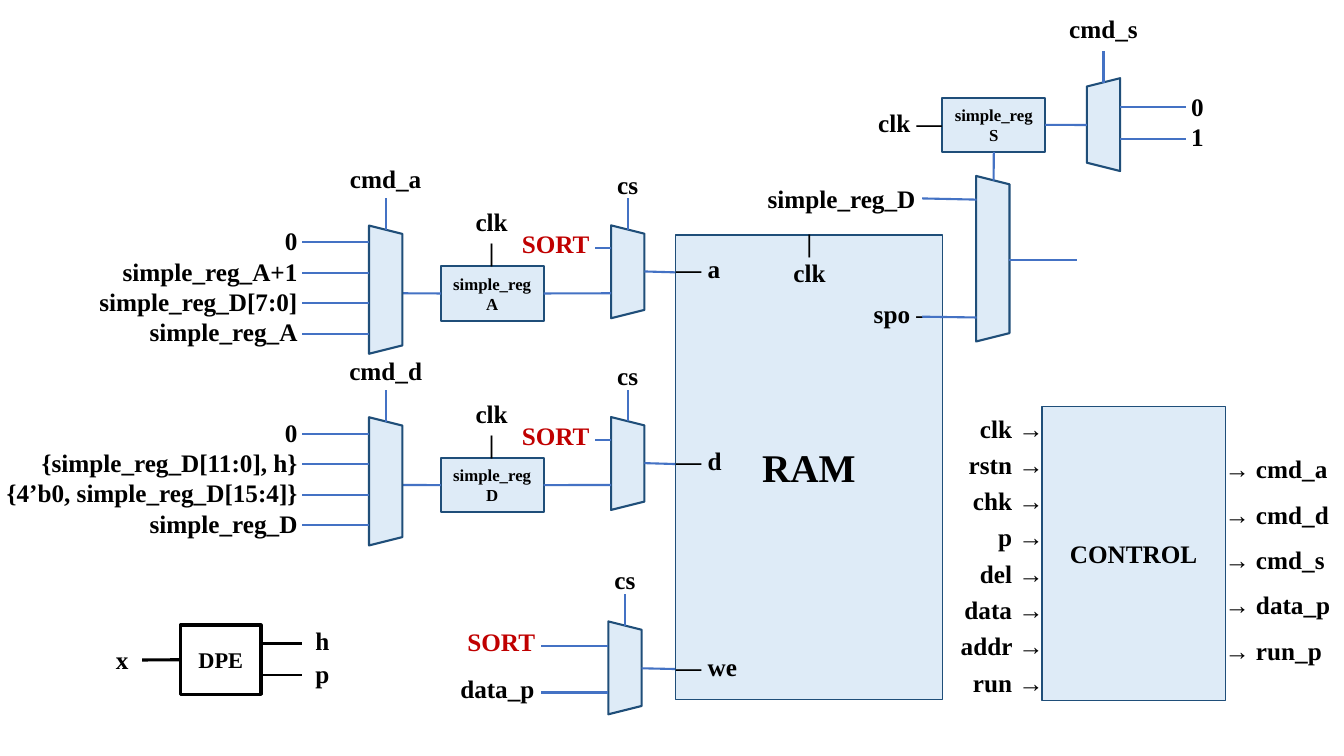
"""Build a block diagram of a RAM with its multiplexers, registers and control unit."""
from lxml import etree
from pptx import Presentation
from pptx import util as u
from pptx.dml.color import RGBColor
from pptx.enum import shapes, text
from pptx.oxml.ns import qn

FONT = "Times New Roman"
BLACK, RED = "000000", "C00000"
PALE, NAVY, BLUE = "DEEBF7", "1F4E79", "4472C4"
LEFT, CENTER, RIGHT = text.PP_ALIGN.LEFT, text.PP_ALIGN.CENTER, text.PP_ALIGN.RIGHT
HALF_MUX = 0.42
LINE_HEIGHT = 0.77


def paint(color_format, color):
    """Give a colour format a hex colour."""
    color_format.rgb = RGBColor.from_string(color)


def write(frame, lines, size, color=BLACK, align=LEFT, spacing=None):
    """Write one bold paragraph per line of text."""
    for index, line in enumerate(lines):
        para = frame.paragraphs[0] if index == 0 else frame.add_paragraph()
        para.add_run().text = line
        para.alignment = align
        if spacing:
            para.line_spacing = spacing
        para.font.name = FONT
        para.font.size = u.Pt(size)
        para.font.bold = True
        paint(para.font.color, color)


def clear_margins(frame):
    """Remove all insets of a text frame."""
    frame.margin_left = frame.margin_right = frame.margin_top = frame.margin_bottom = 0


def label(page, lines, left, top, width, color=BLACK, align=LEFT, spacing=None):
    """Add a label sized to its lines."""
    height = 0.25 + LINE_HEIGHT * len(lines) * (spacing or 1)
    box = page.shapes.add_textbox(u.Cm(left), u.Cm(top), u.Cm(width), u.Cm(height))
    box.text_frame.word_wrap = False
    box.text_frame.auto_size = text.MSO_AUTO_SIZE.SHAPE_TO_FIT_TEXT
    write(box.text_frame, lines, 18, color, align, spacing)
    return box


def wire(page, x1, y1, x2, y2, color=BLUE, weight=1.5):
    """Add a straight line without shadow."""
    line = page.shapes.add_connector(
        shapes.MSO_CONNECTOR.STRAIGHT, u.Cm(x1), u.Cm(y1), u.Cm(x2), u.Cm(y2))
    paint(line.line.color, color)
    line.line.width = u.Pt(weight)
    etree.SubElement(line._element.spPr, qn("a:effectLst"))
    return line


def outline(page, kind, left, top, width, height, fill, edge, weight):
    """Add a preset shape with fill and outline."""
    shape = page.shapes.add_shape(kind, u.Cm(left), u.Cm(top), u.Cm(width), u.Cm(height))
    shape.shadow.inherit = False
    if fill:
        shape.fill.solid()
        paint(shape.fill.fore_color, fill)
    else:
        shape.fill.background()
    paint(shape.line.color, edge)
    shape.line.width = u.Pt(weight)
    return shape


def block(page, lines, left, top, width, height, size, fill=PALE, edge=NAVY, weight=1.0):
    """Add a rectangle with centred text."""
    shape = outline(page, shapes.MSO_SHAPE.RECTANGLE, left, top, width, height, fill, edge, weight)
    shape.text_frame.vertical_anchor = text.MSO_ANCHOR.MIDDLE
    write(shape.text_frame, lines, size, align=CENTER)
    return shape


def register(page, letter, left, top):
    """Add a small register block."""
    return block(page, ["simple_reg", letter], left, top, 2.59, 1.37, 12, weight=1.5)


def mux(page, x, y, length, turn=90):
    """Add a multiplexer centred at x, y."""
    width = 2 * HALF_MUX
    shape = outline(page, shapes.MSO_SHAPE.TRAPEZOID, x - length / 2, y - HALF_MUX,
                    length, width, PALE, NAVY, 1.5)
    shape.rotation = turn


def select(page, name, x, y, length, label_width, rise):
    """Add the select line and its name above a multiplexer."""
    bottom = y - length / 2 + 0.11
    wire(page, x, bottom, x, bottom - 0.8)
    label(page, [name], x - label_width / 2, bottom - 0.8 - rise, label_width, align=CENTER)


def lane(page, letter, command, inputs, input_width, down):
    """Add an address or data lane, shifted down by a distance."""
    mux(page, 15.82, 6.85 + down, 2.34)
    select(page, "cs", 15.82, 6.85 + down, 2.34, 1.04, 0.86)
    wire(page, 16.24, 6.84 + down, 17.6, 6.88 + down)
    wire(page, 15.4, 6.25 + down, 14.99, 6.25 + down)
    label(page, ["SORT"], 12.9, 5.64 + down, 2.24, RED)

    reg = register(page, letter, 11.11, 6.71 + down)
    wire(page, 13.7, 7.39 + down, 15.4, 7.39 + down).begin_connect(reg, 3)
    wire(page, 10.14, 7.39 + down, 11.11, 7.39 + down).end_connect(reg, 1)
    label(page, ["clk", "|"], 11.73, 5.08 + down, 1.32, align=CENTER)

    mux(page, 9.72, 7.3 + down, 3.23)
    select(page, command, 9.72, 7.3 + down, 3.23, 2.34, 1)
    for index in range(len(inputs)):
        y = 6.1 + LINE_HEIGHT * index + down
        wire(page, 9.3, y, 7.62, y)
    label(page, inputs, 7.75 - input_width, 5.56 + down, input_width, align=RIGHT)


def write_enable(page):
    """Add the write enable multiplexer."""
    mux(page, 15.75, 16.83, 2.34)
    select(page, "cs", 15.75, 16.83, 2.34, 1.04, 0.88)
    wire(page, 16.17, 16.84, 17.55, 16.87)
    for y, name, left, width, color in ((16.28, "SORT", 11.53, 2.24, RED),
                                        (17.45, "data_p", 11.35, 2.41, BLACK)):
        wire(page, 15.33, y, 13.64, y)
        label(page, [name], left, y - 0.61, width, color)


def memory(page):
    """Add the RAM with its port names."""
    block(page, ["RAM"], 17.02, 5.92, 6.73, 11.71, 28)
    for port, top, width in (("a", 6.27, 1.63), ("d", 11.1, 1.68), ("we", 16.28, 2.06)):
        label(page, [f"— {port}"], 16.79, top, width)
    label(page, ["spo —"], 21.77, 7.39, 2.24)
    label(page, ["|", "clk"], 19.74, 5.61, 1.32, align=CENTER)


def edge_unit(page):
    """Add the DPE block with its input and outputs."""
    unit = block(page, ["DPE"], 4.55, 15.75, 2.03, 1.75, 16, None, BLACK, 2.25)
    unit.text_frame.word_wrap = False
    clear_margins(unit.text_frame)
    wire(page, 3.58, 16.63, 4.55, 16.63, BLACK, 2.25).end_connect(unit, 1)
    for y, weight in ((16.21, 2.25), (17.02, 1.5)):
        wire(page, 6.63, y, 7.62, y, BLACK, weight)
    for name, left, top in (("x", 2.92, 16.23), ("h", 7.95, 15.77), ("p", 7.95, 16.59)):
        box = label(page, [name], left, top, 0.35)
        box.height = u.Cm(0.76)
        box.text_frame.vertical_anchor = text.MSO_ANCHOR.MIDDLE
        clear_margins(box.text_frame)


def output_stage(page):
    """Add the output multiplexer, its register and the cmd_s multiplexer."""
    mux(page, 25.02, 6.52, 4.17)
    wire(page, 23.24, 7.98, 24.61, 8)
    wire(page, 23.24, 5, 24.61, 5.03)
    wire(page, 27.13, 6.55, 25.44, 6.55)
    label(page, ["simple_reg_D"], 19.08, 4.5, 4.24, align=RIGHT).text_frame.word_wrap = True

    mux(page, 27.81, 3.14, 2.34, 270)
    select(page, "cmd_s", 27.81, 3.14, 2.34, 2.26, 1.07)
    for y in (2.69, 3.51):
        wire(page, 28.23, y, 29.9, y)
    label(page, ["0", "1"], 29.77, 2.18, 0.84)

    reg = register(page, "S", 23.75, 2.46)
    wire(page, 25.04, 3.83, 25.04, 4.55).begin_connect(reg, 2)
    wire(page, 26.34, 3.15, 27.39, 3.15).begin_connect(reg, 3)
    label(page, ["clk —"], 21.87, 2.59, 2.13, align=CENTER)


def control(page):
    """Add the control unit with its signals."""
    block(page, ["CONTROL"], 26.26, 10.24, 4.62, 7.42, 18)
    inputs = ["clk", "rstn", "chk", "p", "del", "data", "addr", "run"]
    outputs = ["cmd_a", "cmd_d", "cmd_s", "data_p", "run_p"]
    label(page, [f"{name} →" for name in inputs], 23.93, 10.13, 2.62, align=RIGHT, spacing=1.2)
    label(page, [f"→ {name}" for name in outputs], 30.61, 10.92, 3.2, spacing=1.5)


def main():
    """Build and save the slide."""
    deck = Presentation()
    deck.slide_width, deck.slide_height = u.Cm(33.87), u.Cm(19.05)
    page = deck.slides.add_slide(deck.slide_layouts[6])
    lane(page, "A", "cmd_a", ["0", "simple_reg_A+1", "simple_reg_D[7:0]", "simple_reg_A"], 5.56, 0)
    lane(page, "D", "cmd_d", ["0", "{simple_reg_D[11:0], h}", "{4’b0, simple_reg_D[15:4]}",
                              "simple_reg_D"], 7.92, 4.83)
    write_enable(page)
    memory(page)
    edge_unit(page)
    output_stage(page)
    control(page)
    deck.save("out.pptx")


if __name__ == "__main__":
    main()
